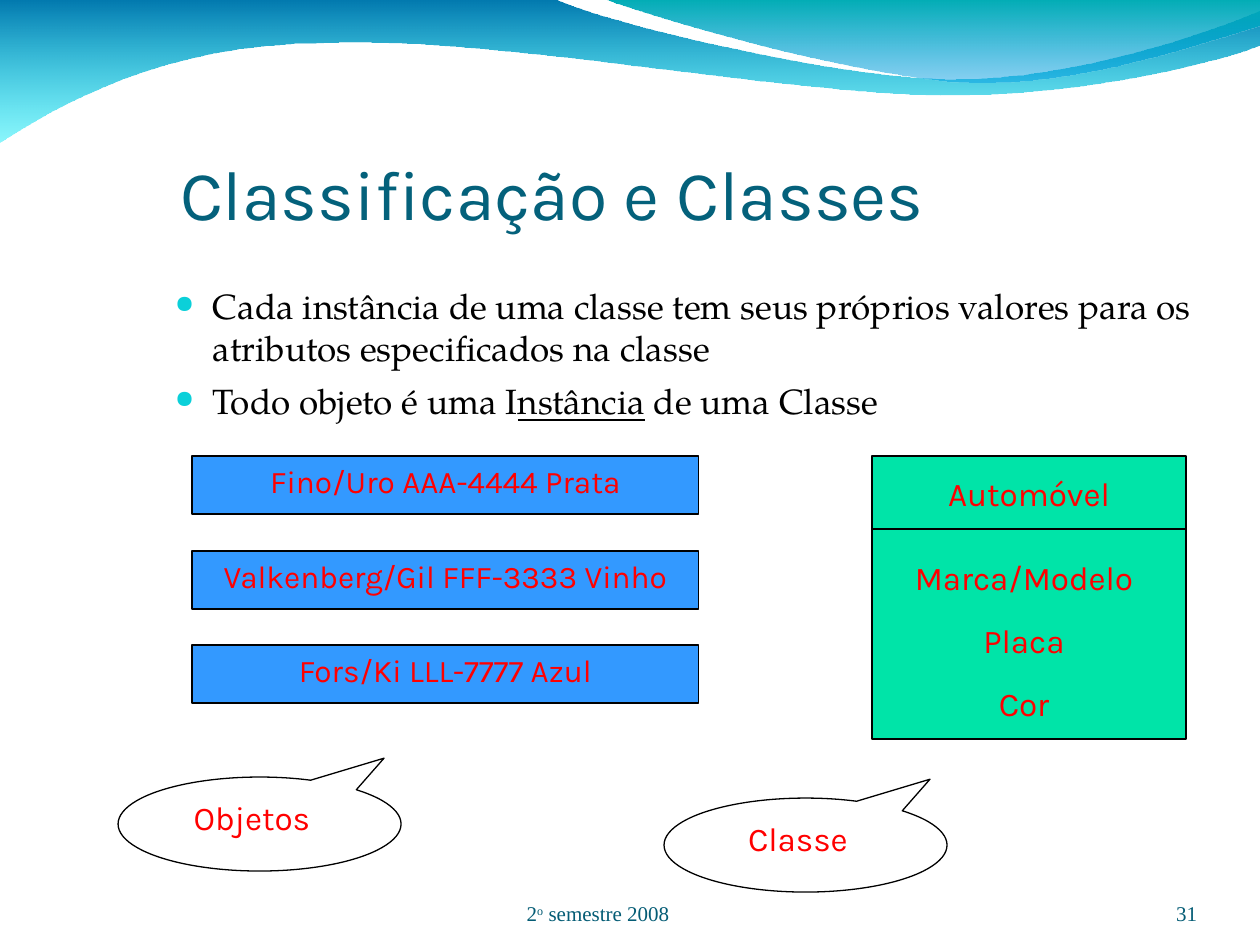
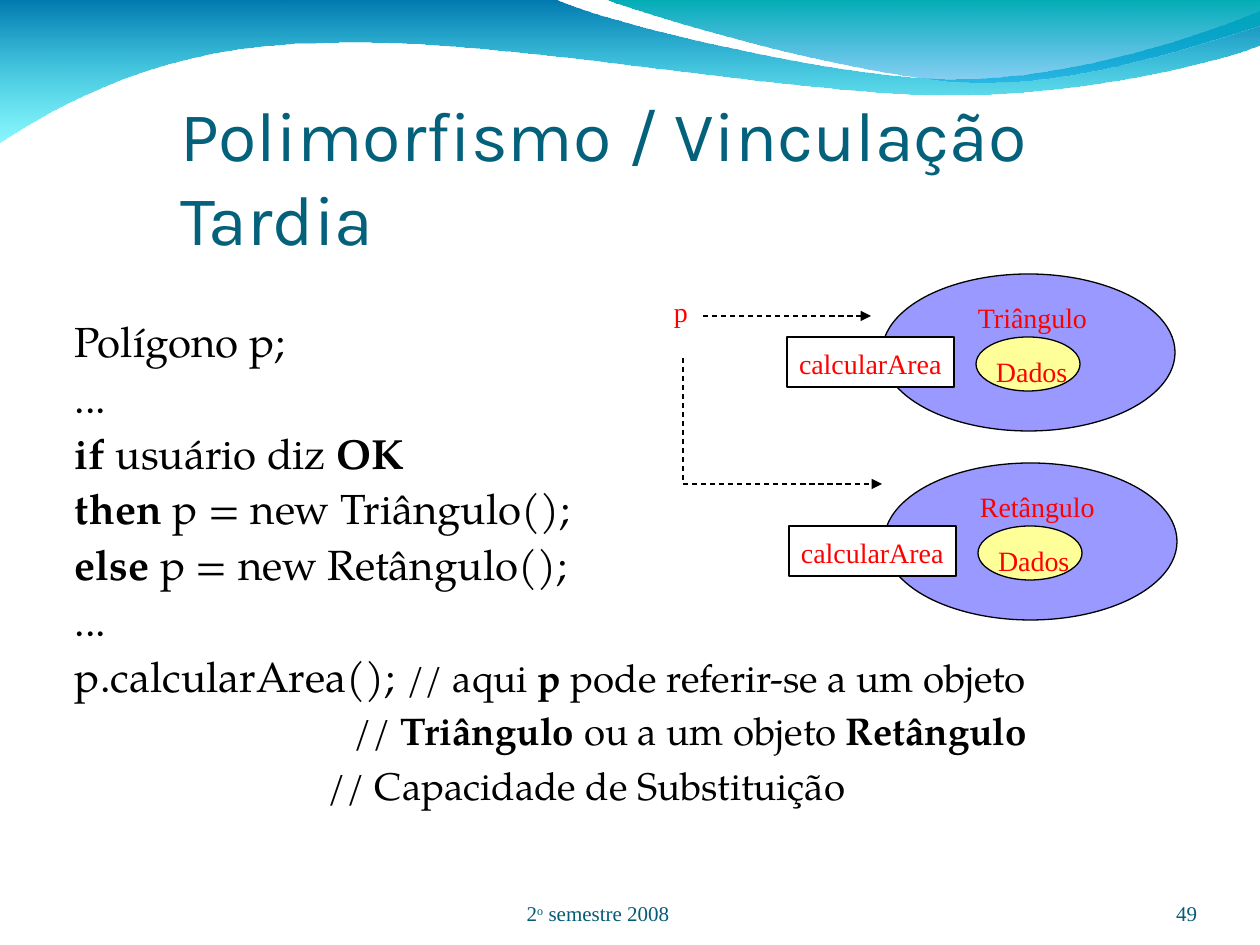
from dataclasses import dataclass
from typing import NamedTuple

from pptx import Presentation
from pptx.dml.color import RGBColor
from pptx.enum.dml import MSO_LINE
from pptx.enum.shapes import MSO_CONNECTOR, MSO_SHAPE as Kind
from pptx.enum.text import MSO_ANCHOR as Anchor, PP_ALIGN as Align
from pptx.oxml.ns import qn
from pptx.util import Emu, Pt
from lxml.etree import SubElement

BLACK = RGBColor(0x00, 0x00, 0x00)
WHITE = RGBColor(0xFF, 0xFF, 0xFF)
RED = RGBColor(0xFF, 0x00, 0x00)
TITLE = RGBColor(0x04, 0x61, 0x7B)
FOOT = RGBColor(0x04, 0x5C, 0x75)
DOT = RGBColor(0x0B, 0xD0, 0xD9)
BLUE = RGBColor(0x33, 0x99, 0xFF)
GREEN = RGBColor(0x00, 0xE4, 0xA8)
LILAC = RGBColor(0x99, 0x99, 0xFF)
YELLOW = RGBColor(0xFF, 0xFF, 0x99)

SANS, BOOK, SERIF = "Karla", "TeX Gyre Pagella", "Times New Roman"
WIDE, HIGH, DPI = 1260, 945, 126


def px(n: int) -> Emu:
    return Emu(round(n * 914400 / DPI))


class Box(NamedTuple):
    x: int
    y: int
    w: int
    h: int


class Run(NamedTuple):
    text: str
    bold: bool = False
    under: bool = False
    lift: bool = False
    size: int = 0


@dataclass(frozen=True)
class Look:
    font: str
    size: int
    color: RGBColor
    align: Align = Align.LEFT
    anchor: Anchor = Anchor.TOP
    inset: tuple = (12, 6, 12, 6)
    line: float = 1.0
    gap: int = 0


@dataclass(frozen=True)
class Para:
    runs: tuple
    left: int = 0
    hang: int = 0
    dot: bool = False
    gap: int = 0


@dataclass(frozen=True)
class Wave:
    """Curves hold three points each, straight edges one."""
    start: tuple
    edges: tuple
    top: RGBColor
    base: RGBColor


HEAD = Look(SANS, 40, TITLE, anchor=Anchor.BOTTOM)
BODY = Look(BOOK, 20, BLACK, gap=6)
CODE = Look(BOOK, 24, BLACK, line=0.9, gap=6)
ITEM = Look(SANS, 18, RED, Align.CENTER)
LABEL = Look(SANS, 19, RED, Align.CENTER)
TAG = Look(SERIF, 16, RED, inset=(12, 6, 0, 6), line=1.1)
TERM = Look(SERIF, 12, FOOT, Align.CENTER, Anchor.BOTTOM, (0, 0, 0, 0))
PAGE = Look(SERIF, 12, FOOT, Align.RIGHT, Anchor.BOTTOM, (0, 0, 0, 0))

WAVES = (
    Wave((0, 0), (
        ((556, 0),),
        ((600, 21), (837, 79), (955, 79)),
        ((1075, 79), (1207, 33), (1260, 11)),
        ((1260, 45),),
        ((1239, 55), (1096, 96), (940, 95)),
        ((784, 94), (481, 35), (324, 43)),
        ((163, 44), (58, 105), (0, 142)),
    ), RGBColor(0x00, 0x79, 0xAF), RGBColor(0x00, 0xEB, 0xF8)),
    Wave((606, 0), (
        ((641, 14), (859, 78), (969, 82)),
        ((1079, 87), (1211, 40), (1260, 26)),
        ((1260, 0),),
    ), RGBColor(0x00, 0xAD, 0xB6), RGBColor(0x00, 0x9B, 0xE5)),
)


def plain(text: str) -> list:
    return [Para((Run(text),))]


def bend(shape, edges: tuple) -> None:
    """Join the three straight steps of each curved edge into one curve."""
    steps = iter(list(shape._element.spPr.iter(qn("a:lnTo"))))
    for edge in edges:
        parts = [next(steps) for _ in edge]
        if len(parts) == 3:
            trail = parts[0].getparent()
            curve = SubElement(trail, qn("a:cubicBezTo"))
            trail.replace(parts[0], curve)
            for part in parts:
                curve.append(part[0])
            for part in parts[1:]:
                trail.remove(part)


def draw_wave(slide, wave: Wave) -> None:
    pen = slide.shapes.build_freeform(px(wave.start[0]), px(wave.start[1]))
    spots = [(px(x), px(y)) for edge in wave.edges for x, y in edge]
    pen.add_line_segments(spots, close=True)
    shape = pen.convert_to_shape()
    bend(shape, wave.edges)
    shape.shadow.inherit = False
    shape.line.fill.background()
    shape.fill.gradient()
    shape.fill.gradient_angle = 270
    stops = shape.fill.gradient_stops
    for stop, color, place in zip(stops, (wave.top, wave.base), (0, 1)):
        stop.color.rgb, stop.position = color, place
    last = list(shape._element.spPr.iter(qn("a:srgbClr")))[-1]
    SubElement(last, qn("a:alpha")).set("val", "45000")


def add_run(par, run: Run, look: Look) -> None:
    piece = par.add_run()
    piece.text = run.text
    font = piece.font
    font.name, font.size = look.font, Pt(run.size or look.size)
    font.color.rgb, font.bold = look.color, run.bold
    if run.under:
        font.underline = True
    if run.lift:
        font._element.set("baseline", "30000")


def write(frame, paras: list, look: Look) -> None:
    frame.word_wrap = True
    frame.vertical_anchor = look.anchor
    (frame.margin_left, frame.margin_top,
     frame.margin_right, frame.margin_bottom) = map(px, look.inset)
    for i, para in enumerate(paras):
        par = frame.add_paragraph() if i else frame.paragraphs[0]
        props = par._p.get_or_add_pPr()
        props.set("marL", str(px(para.left)))
        props.set("indent", str(px(-para.hang)))
        if para.dot:
            tint = SubElement(props, qn("a:buClr"))
            SubElement(tint, qn("a:srgbClr")).set("val", str(DOT))
            SubElement(props, qn("a:buSzPct")).set("val", "70000")
            SubElement(props, qn("a:buChar")).set("char", "●")
        par.alignment, par.line_spacing = look.align, look.line
        par.space_before = Pt((para.gap or look.gap) if i else 0)
        for run in para.runs:
            add_run(par, run, look)


def add_text(slide, box: Box, paras: list, look: Look) -> None:
    write(slide.shapes.add_textbox(*map(px, box)).text_frame, paras, look)


def add_form(slide, kind: Kind, box: Box, fill: RGBColor):
    shape = slide.shapes.add_shape(kind, *map(px, box))
    shape.shadow.inherit = False
    shape.fill.solid()
    shape.fill.fore_color.rgb = fill
    shape.line.color.rgb, shape.line.width = BLACK, Pt(0.75)
    return shape


def add_line(slide, ends: tuple, dash: bool = False, arrow: bool = False) -> None:
    link = slide.shapes.add_connector(MSO_CONNECTOR.STRAIGHT, *map(px, ends))
    link.line.color.rgb, link.line.width = BLACK, Pt(0.75)
    if dash:
        link.line.dash_style = MSO_LINE.DASH
    if arrow:
        SubElement(link.line._get_or_add_ln(), qn("a:tailEnd")).set("type", "triangle")
    SubElement(link._element.spPr, qn("a:effectLst"))


def new_slide(deck, title: str, box: Box, page: int):
    """Add a slide with its waves, title and footer."""
    slide = deck.slides.add_slide(deck.slide_layouts[5])
    for wave in WAVES:
        draw_wave(slide, wave)
    head = slide.shapes.title
    head.left, head.top, head.width, head.height = map(px, box)
    write(head.text_frame, plain(title), HEAD)
    term = Para((Run("2"), Run("o", lift=True), Run(" semestre 2008")))
    add_text(slide, Box(367, 876, 462, 50), [term], TERM)
    add_text(slide, Box(1092, 876, 105, 50), plain(str(page)), PAGE)
    return slide


def add_bubble(slide, x: int, y: int, text: str) -> None:
    bubble = add_form(slide, Kind.OVAL_CALLOUT, Box(x, y, 283, 94), WHITE)
    bubble.rotation = 180
    bubble.adjustments[0], bubble.adjustments[1] = -0.44, 0.7
    add_text(slide, Box(x + 51, y + 14, 166, 53), plain(text), LABEL)


def add_object(slide, x: int, y: int, name: str) -> None:
    """Draw an object with its data and its method."""
    add_form(slide, Kind.OVAL, Box(x, y, 293, 157), LILAC)
    add_form(slide, Kind.OVAL, Box(x + 94, y + 63, 104, 54), YELLOW)
    add_text(slide, Box(x + 102, y + 71, 96, 50), plain("Dados"), TAG)
    add_text(slide, Box(x + 84, y + 17, 140, 50), plain(name), TAG)
    method = add_form(slide, Kind.RECTANGLE, Box(x - 95, y + 63, 167, 50), WHITE)
    write(method.text_frame, plain("calcularArea"), TAG)


def class_slide(deck) -> None:
    slide = new_slide(deck, "Classificação e Classes", Box(168, 83, 1074, 158), 31)
    points = (
        (Run("Cada instância de uma classe tem seus próprios valores para os "
             "atributos especificados na classe"),),
        (Run("Todo objeto é uma I"), Run("nstância", under=True), Run(" de uma Classe")),
    )
    add_text(slide, Box(163, 279, 1071, 226),
             [Para(runs, 38, 38, True) for runs in points], BODY)
    cars = ("Fino/Uro AAA-4444 Prata", "Valkenberg/Gil FFF-3333 Vinho",
            "Fors/Ki LLL-7777 Azul")
    for i, car in enumerate(cars):
        y = 456 + (i * 189 + 1) // 2
        add_form(slide, Kind.RECTANGLE, Box(192, y, 507, 58), BLUE)
        add_text(slide, Box(157, y, 577, 50), plain(car), ITEM)
    add_bubble(slide, 118, 777, "Objetos")
    add_form(slide, Kind.RECTANGLE, Box(872, 456, 314, 283), GREEN)
    add_text(slide, Box(924, 467, 210, 53), plain("Automóvel"), LABEL)
    for i, field in enumerate(("Marca/Modelo", "Placa", "Cor")):
        add_text(slide, Box(893, 551 + 63 * i, 262, 53), plain(field), LABEL)
    add_line(slide, (872, 529, 1186, 529))
    add_bubble(slide, 664, 798, "Classe")


def late_slide(deck) -> None:
    slide = new_slide(deck, "Polimorfismo / Vinculação Tardia", Box(168, 85, 1074, 181), 49)
    code = (
        (Run("Polígono p;"),),
        (Run("..."),),
        (Run("if", True), Run(" usuário diz "), Run("OK", True)),
        (Run("then", True), Run(" p = new Triângulo();")),
        (Run("else", True), Run(" p = new Retângulo();")),
        (Run("..."),),
        (Run("p.calcularArea(); "), Run("// aqui ", size=22), Run("p ", True, size=22),
         Run("pode referir-se a um objeto", size=22)),
    )
    paras = [Para(runs, 44, 44) for runs in code]
    paras.append(Para((
        Run("// ", size=22), Run("Triângulo ", True, size=22),
        Run("ou a um objeto ", size=22), Run("Retângulo", True, size=22)), 279))
    paras.append(Para((Run("// Capacidade de Substituição", size=22),), 253, gap=8))
    add_text(slide, Box(63, 315, 1182, 596), paras, CODE)
    add_object(slide, 882, 274, "Triângulo")
    add_object(slide, 884, 463, "Retângulo")
    add_text(slide, Box(662, 285, 40, 50), plain("p"), TAG)
    add_line(slide, (703, 316, 871, 316), True, True)
    add_line(slide, (683, 484, 882, 484), True, True)
    add_line(slide, (683, 358, 683, 484), True)


def main() -> None:
    deck = Presentation()
    deck.slide_width, deck.slide_height = px(WIDE), px(HIGH)
    class_slide(deck)
    late_slide(deck)
    deck.save("out.pptx")


if __name__ == "__main__":
    main()
